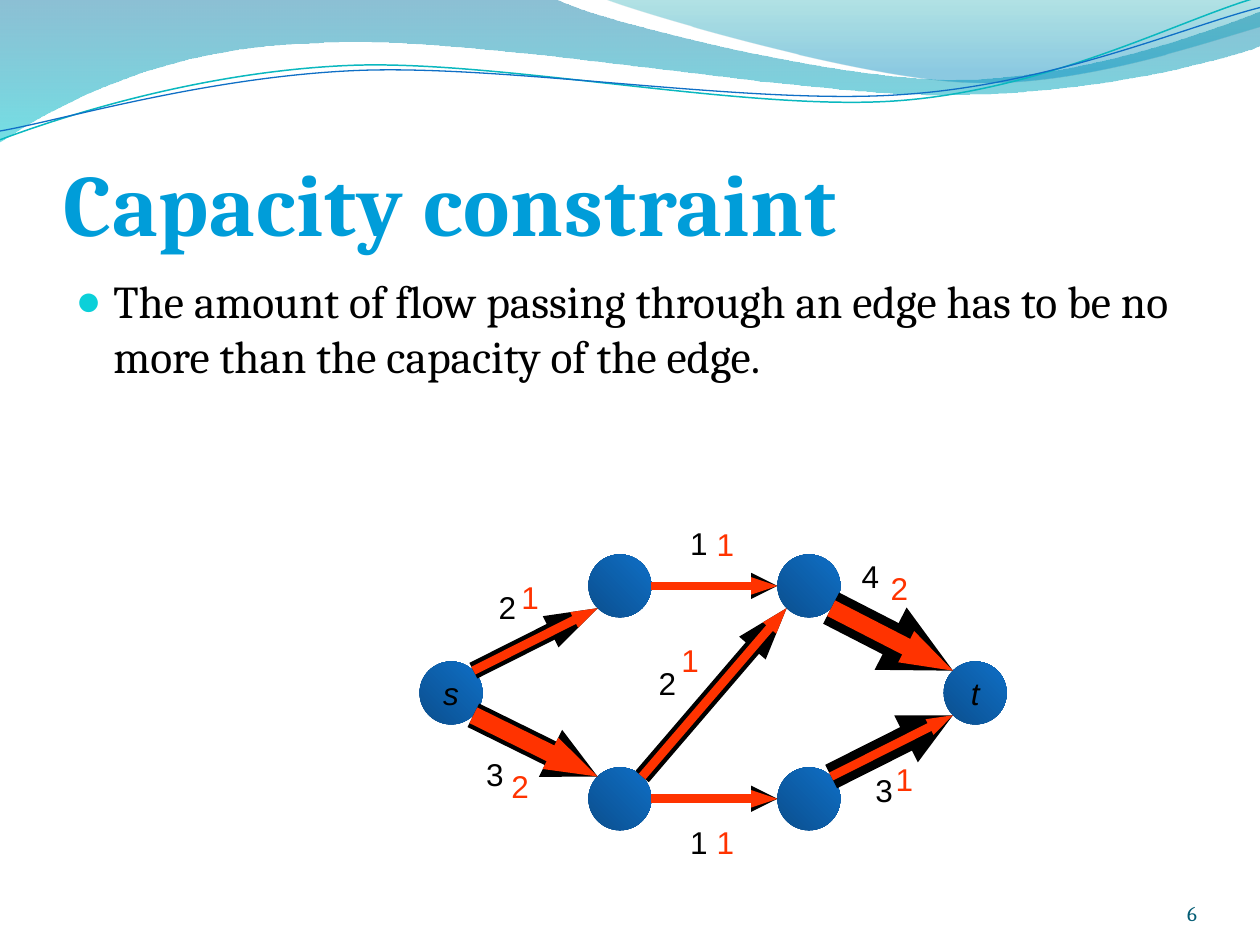
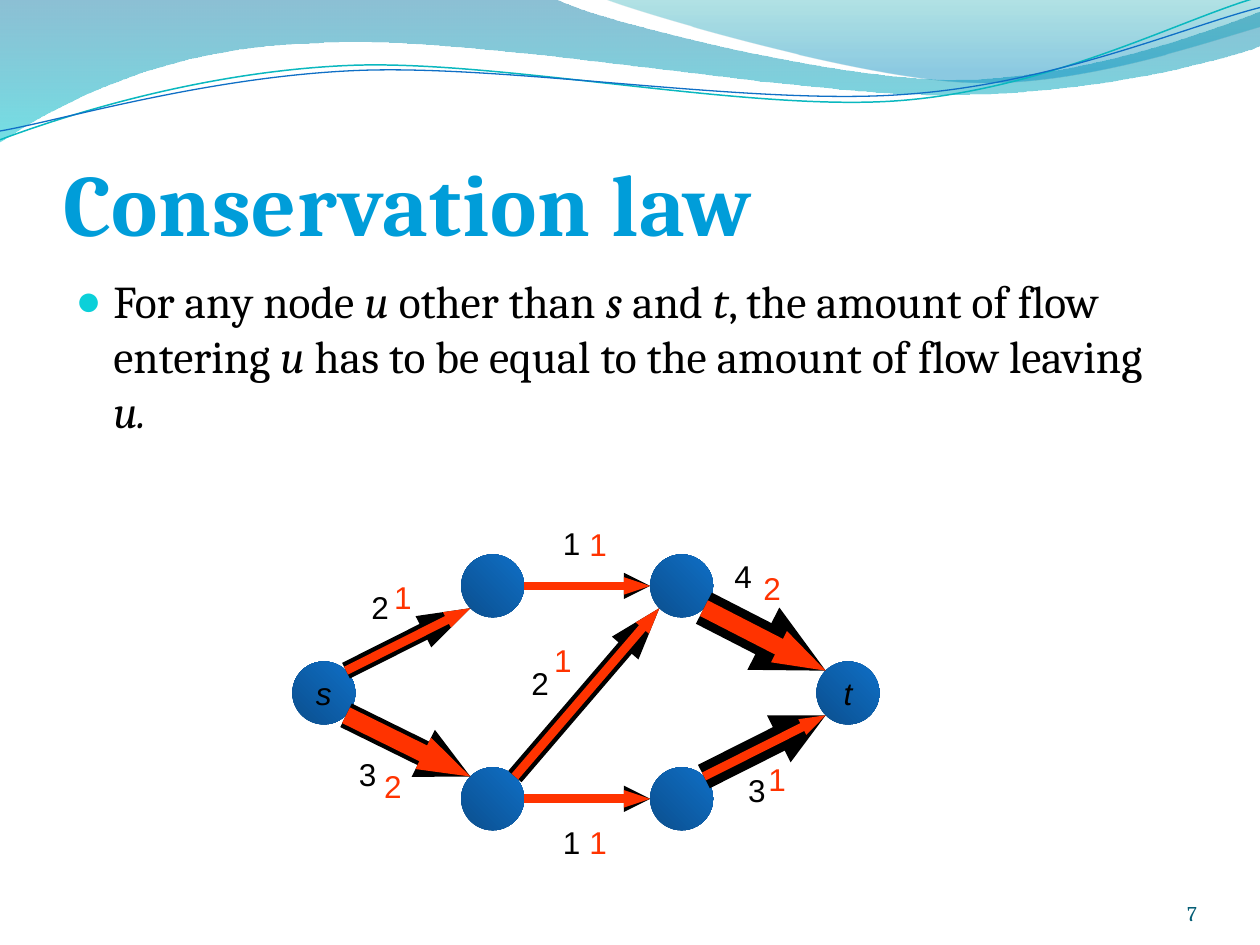
from math import hypot
from lxml.etree import SubElement as Sub
from pptx import Presentation
from pptx.dml.color import RGBColor as RGB
from pptx.enum.shapes import MSO_CONNECTOR as Link, MSO_SHAPE as Form
from pptx.enum.text import MSO_ANCHOR as Anchor, MSO_AUTO_SIZE as Fit, PP_ALIGN as Align
from pptx.oxml.ns import qn
from pptx.util import Inches, Pt

BLACK = RGB(0x00, 0x00, 0x00)
RED = RGB(0xFF, 0x33, 0x00)
SKY = RGB(0x00, 0x9D, 0xD9)
TEAL = RGB(0x04, 0x5D, 0x75)
AQUA = RGB(0x0A, 0xB8, 0xBF)
BLUE = RGB(0x0F, 0x6F, 0xC6)
NAVY = RGB(0x0B, 0x4F, 0x8E)
DOT = "0BD0D9"
SERIF, SANS = "Cambria", "Arial"

BANDS = [
    ([(0, 0), (4.4, -0.01), (4.76, 0.17, 6.64, 0.63, 7.58, 0.63),
      (8.53, 0.63, 9.58, 0.26, 10, 0.09), (10.01, 0.36),
      (9.83, 0.44, 8.7, 0.76, 7.46, 0.75), (6.22, 0.75, 3.82, 0.28, 2.57, 0.34),
      (1.29, 0.36, 0.46, 0.83, -0.01, 1.13)],
     [(0, RGB(0x00, 0x74, 0xA1), 45), (1, RGB(0x00, 0xC6, 0xCF), 55)]),
    ([(4.79, -0.01), (5.09, 0.11, 6.82, 0.62, 7.69, 0.65),
      (8.56, 0.69, 9.61, 0.32, 10, 0.21), (10, 0)],
     [(0, RGB(0x00, 0xA1, 0xA9), 30), (0.8, RGB(0x00, 0x8B, 0xBF), 45)]),
]
WAVES = [
    ([(0, 1.11), (0.48, 0.93, 1.58, 0.57, 2.77, 0.52),
      (3.95, 0.47, 5.93, 0.89, 7.13, 0.8), (8.33, 0.71, 9.38, 0.15, 9.98, -0.02)], AQUA, 0.85),
    ([(0, 1.04), (0.47, 0.96, 1.64, 0.61, 2.83, 0.56),
      (4.03, 0.51, 5.97, 0.84, 7.17, 0.75), (8.36, 0.67, 9.41, 0.21, 10, 0.06)], BLUE, 0.75),
]

SIZE = 0.5
NODES = {"s": (0.25, 1.39), "a": (1.59, 0.54), "b": (3.09, 0.54),
         "c": (1.59, 2.23), "d": (3.09, 2.23), "t": (4.41, 1.39)}
EDGES = [
    ("sa", 2, (0.53, 0.51), 1, (0.71, 0.43)),
    ("sc", 3, (0.43, 1.83), 2, (0.63, 1.93)),
    ("ab", 1, (2.05, 0), 1, (2.26, 0.01)),
    ("cb", 2, (1.8, 1.11), 1, (1.98, 0.93)),
    ("bt", 4, (3.41, 0.26), 2, (3.64, 0.36)),
    ("cd", 1, (2.05, 2.37), 1, (2.26, 2.37)),
    ("dt", 3, (3.52, 1.96), 1, (3.68, 1.87)),
]
PAGES = [
    ("Capacity constraint", "The amount of flow passing through an edge has to be "
     "no more than the capacity of the edge.", 6, 3.33),
    ("Conservation law", "For any node *u* other than *s* and *t*, the amount of flow "
     "entering *u* has to be equal to the amount of flow leaving *u.*", 7, 2.32),
]


def write(shape, text, size, font=SERIF, color=BLACK, bold=False, align=Align.LEFT,
          anchor=Anchor.TOP, wrap=True, inset=None, track=None):
    """Fill a shape with one paragraph; stars enclose italic words."""
    frame = shape.text_frame
    frame.auto_size, frame.word_wrap, frame.vertical_anchor = Fit.NONE, wrap, anchor
    if inset:
        (frame.margin_left, frame.margin_top,
         frame.margin_right, frame.margin_bottom) = map(Inches, inset)
    para = frame.paragraphs[0]
    para.alignment, para.space_before = align, Pt(0)
    for i, part in enumerate(text.split("*")):
        if part:
            run = para.add_run()
            run.text = part
            face = run.font
            face.name, face.size, face.bold, face.italic = font, Pt(size), bold, i % 2 == 1
            face.color.rgb = color
            if track:
                face._element.set("spc", str(track))
    return para


def place(shape, x, y, w, h):
    """Move a shape to a box given in inches."""
    shape.left, shape.top, shape.width, shape.height = map(Inches, (x, y, w, h))


def blend(shape, stops, angle):
    """Give a shape a two-stop gradient with optional opacity."""
    shape.shadow.inherit = False
    shape.fill.gradient()
    shape.fill.gradient_angle = angle
    for stop, (pos, color, _) in zip(shape.fill.gradient_stops, stops):
        stop.position, stop.color.rgb = pos, color
    for node, (_, _, alpha) in zip(shape.element.iter(qn("a:srgbClr")), stops):
        if alpha < 100:
            Sub(node, qn("a:alpha"), val=str(alpha * 1000))
    shape.line.fill.background()


def outline(slide, steps, close):
    """Add a freeform of straight steps (pairs) and cubic curves (sixes)."""
    points = [(Inches(step[i]), Inches(step[i + 1]))
              for step in steps for i in range(0, len(step), 2)]
    pen = slide.shapes.build_freeform(*points[0])
    pen.add_line_segments(points[1:], close=close)
    shape = pen.convert_to_shape()
    lines = iter(list(shape.element.iter(qn("a:lnTo"))))
    for step in steps[1:]:
        first = next(lines)
        if len(step) == 6:
            curve = first.makeelement(qn("a:cubicBezTo"))
            first.addprevious(curve)
            for line in (first, next(lines), next(lines)):
                curve.append(line[0])
                line.getparent().remove(line)
    return shape


def banner(slide):
    """Draw the waves along the top edge."""
    for steps, stops in BANDS:
        blend(outline(slide, steps, True), stops, 270)
    for steps, color, width in WAVES:
        wave = outline(slide, steps, False)
        wave.shadow.inherit = False
        wave.fill.background()
        wave.line.color.rgb, wave.line.width = color, Pt(width)


def heading(slide, text):
    """Set the title."""
    title = slide.shapes.title
    place(title, 0.5, 0.77, 9, 1.25)
    write(title, text, 50, color=SKY, bold=True, anchor=Anchor.BOTTOM,
          inset=(0, 0.05, 0, 0), track=50)


def listing(slide, text):
    """Set the bulleted body."""
    body = slide.placeholders[1]
    place(body, 0.5, 2.12, 9, 4.8)
    props = write(body, text, 26)._p.get_or_add_pPr()
    props.set("marL", str(Inches(0.3)))
    props.set("indent", str(-Inches(0.3)))
    Sub(Sub(props, qn("a:buClr")), qn("a:srgbClr"), val=DOT)
    Sub(props, qn("a:buSzPct"), val="95000")
    Sub(props, qn("a:buFont"), typeface=SANS)
    Sub(props, qn("a:buChar"), char="●")


def label(slide, text, x, y, w=0.34, h=0.4, **form):
    """Add a text box."""
    box = slide.shapes.add_textbox(*map(Inches, (x, y, w, h)))
    write(box, str(text), **form)


def arrow(slide, start, end, width, color):
    """Add an arrow whose head is slim, and short on thick lines."""
    line = slide.shapes.add_connector(Link.STRAIGHT, *map(Inches, (*start, *end)))
    line.line.color.rgb, line.line.width = color, Pt(width)
    broad = color == BLACK and width == 5
    Sub(line.line._get_or_add_ln(), qn("a:tailEnd"), type="triangle",
        w="med" if broad else "sm", len="sm" if width > 10 else "med")
    Sub(line.element.spPr, qn("a:effectLst"))


def ports(pair):
    """Find where an edge leaves one node's rim and meets the other's."""
    (x1, y1), (x2, y2) = (NODES[name] for name in pair)
    dx, dy = (x2 > x1) - (x2 < x1), (y2 > y1) - (y2 < y1)
    reach = SIZE / 2 / hypot(dx, dy)
    return (x1 + dx * reach, y1 + dy * reach), (x2 - dx * reach, y2 - dy * reach)


def network(slide, left, top):
    """Draw the flow network with capacities in black and flows in red."""
    for name, (x, y) in NODES.items():
        box = (left + x - SIZE / 2, top + y - SIZE / 2, SIZE, SIZE)
        ball = slide.shapes.add_shape(Form.OVAL, *map(Inches, box))
        blend(ball, [(0, NAVY, 100), (1, BLUE, 100)], 45)
        if name in "st":
            write(ball, f"*{name}*", 18, font=SANS, align=Align.CENTER,
                  anchor=Anchor.MIDDLE, wrap=False)
    for color, pick in ((BLACK, 1), (RED, 3)):
        for edge in EDGES:
            ends = [(left + x, top + y) for x, y in ports(edge[0])]
            arrow(slide, *ends, 5 * edge[pick], color)
        for edge in EDGES:
            x, y = edge[pick + 1]
            label(slide, edge[pick], left + x, top + y, size=18, font=SANS,
                  color=color, wrap=False)


def page(deck, title, text, number, left):
    """Build one slide."""
    slide = deck.slides.add_slide(deck.slide_layouts[1])
    banner(slide)
    label(slide, number, 8.67, 6.95, 0.83, size=12, color=TEAL, align=Align.RIGHT,
          anchor=Anchor.BOTTOM, inset=(0, 0, 0, 0))
    heading(slide, title)
    listing(slide, text)
    network(slide, left, 4.11)


def main():
    """Build and save the deck."""
    deck = Presentation()
    deck.slide_width, deck.slide_height = Inches(10), Inches(7.5)
    for item in PAGES:
        page(deck, *item)
    deck.save("out.pptx")


if __name__ == "__main__":
    main()
